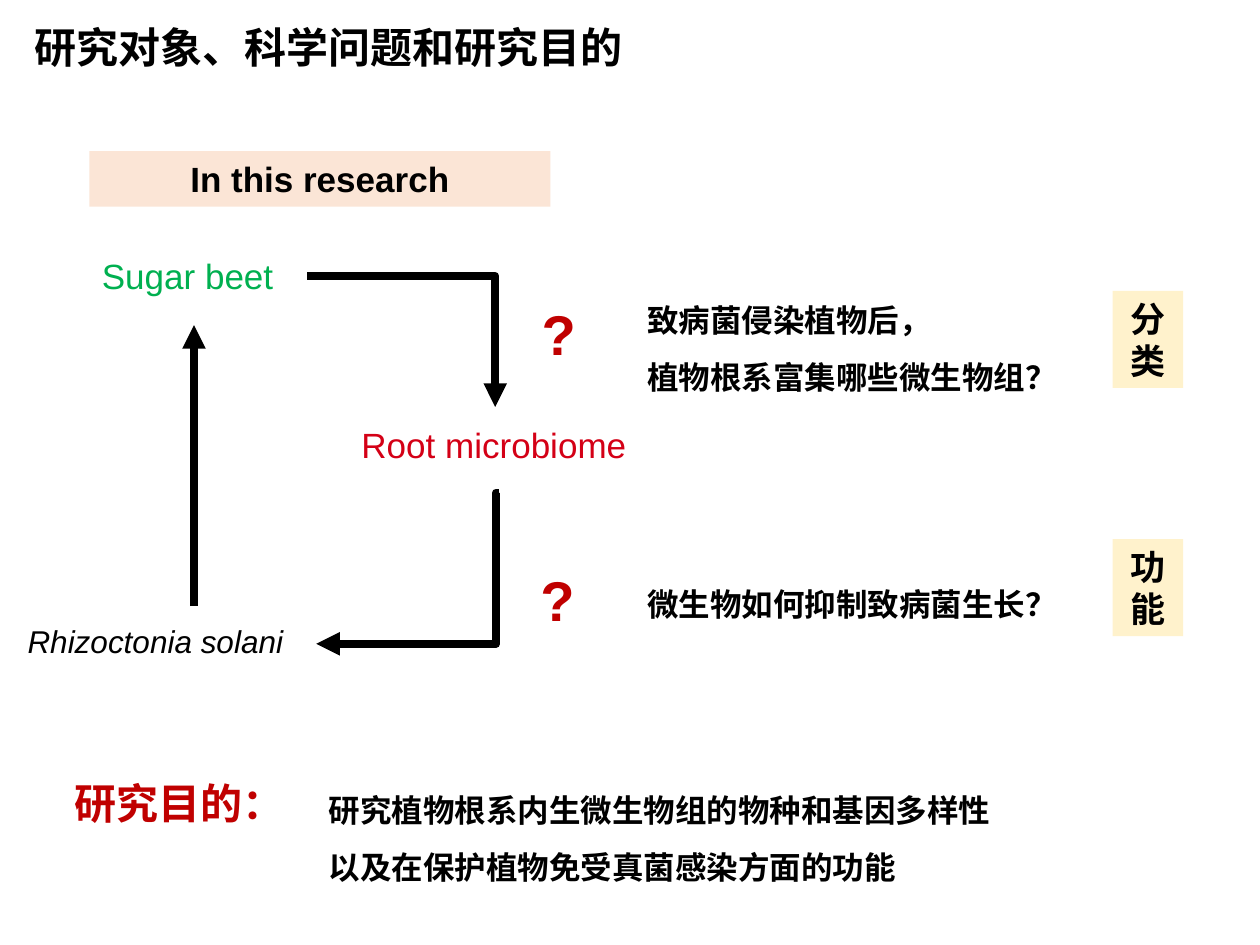
from lxml import etree
from pptx import Presentation, util as u
from pptx.dml.color import RGBColor
from pptx.enum import shapes, text
from pptx.oxml import ns

COLORS = {"black": "000000", "red": "C00000", "crimson": "D40016",
          "green": "00B050", "peach": "FBE5D6", "cream": "FFF2CC"}
LATIN, CJK = "Arial", "Noto Sans CJK SC"


def color(name):
    return RGBColor.from_string(COLORS[name])


def place(part, box):
    for side, length in zip(("left", "top", "width", "height"), box):
        setattr(part, side, u.Inches(length))


def write(part, lines, ink="black", wrap=True, spacing=None,
          align=text.PP_ALIGN.LEFT, anchor=text.MSO_ANCHOR.TOP, **font_values):
    frame = part.text_frame
    frame.word_wrap = wrap
    frame.auto_size = text.MSO_AUTO_SIZE.NONE
    frame.vertical_anchor = anchor
    values = {"name": LATIN, "size": u.Pt(18), "bold": False, **font_values}
    for index, line in enumerate(lines):
        paragraph = frame.add_paragraph() if index else frame.paragraphs[0]
        paragraph.alignment = align
        if spacing:
            paragraph.line_spacing = spacing
        run = paragraph.add_run()
        run.text = line
        for key, value in values.items():
            setattr(run.font, key, value)
        run.font.color.rgb = color(ink)
        east_asian = etree.SubElement(run._r.get_or_add_rPr(), ns.qn("a:ea"))
        east_asian.set("typeface", CJK)


def add_label(slide, box, lines, **values):
    label = slide.shapes.add_textbox(*map(u.Inches, box))
    write(label, lines, **values)


def add_block(slide, box, line, fill):
    block = slide.shapes.add_shape(shapes.MSO_SHAPE.RECTANGLE, *map(u.Inches, box))
    block.shadow.inherit = False
    block.fill.solid()
    block.fill.fore_color.rgb = color(fill)
    block.line.fill.background()
    write(block, [line], size=u.Pt(20), bold=True, align=text.PP_ALIGN.CENTER)


def add_arrow(slide, kind, start, end):
    arrow = slide.shapes.add_connector(kind, *map(u.Inches, start + end))
    arrow.line.width = u.Pt(4.5)
    arrow.line.color.rgb = color("black")
    etree.SubElement(arrow.line._get_or_add_ln(), ns.qn("a:tailEnd")).set("type", "triangle")
    properties = arrow._element.spPr
    etree.SubElement(properties, ns.qn("a:effectLst"))
    return properties.find(ns.qn("a:prstGeom"))


def add_title(slide, box):
    title = slide.shapes.title
    place(title, box)
    write(title, ["研究对象、科学问题和研究目的"], name=CJK, size=u.Pt(24), bold=True)


def add_cycle(slide, box):
    left, top = box[:2]
    add_block(slide, (left + 0.59, top, 3.66, 0.44), "In this research", "peach")
    add_label(slide, (left + 0.59, top + 0.77, 1.65, 0.44), ["Sugar beet"],
              ink="green", size=u.Pt(20))
    add_label(slide, (left + 2.65, top + 2.11, 2.32, 0.44), ["Root microbiome"],
              ink="crimson", size=u.Pt(20), wrap=False)
    add_label(slide, (left, top + 3.69, 2.39, 0.4), ["Rhizoctonia solani"], italic=True)

    straight, elbow = shapes.MSO_CONNECTOR.STRAIGHT, shapes.MSO_CONNECTOR.ELBOW
    add_arrow(slide, straight, (left + 1.42, top + 3.61), (left + 1.42, top + 1.38))
    beet_to_root = add_arrow(slide, elbow, (left + 2.32, top + 0.99), (left + 3.81, top + 2.03))
    beet_to_root.set("prst", "bentConnector2")
    root_to_fungus = add_arrow(slide, elbow, (left + 3.84, top + 2.71), (left + 2.39, top + 3.91))
    adjustments = root_to_fungus.find(ns.qn("a:avLst"))
    if adjustments is None:
        adjustments = etree.SubElement(root_to_fungus, ns.qn("a:avLst"))
    bend = etree.SubElement(adjustments, ns.qn("a:gd"))
    bend.set("name", "adj1")
    bend.set("fmla", "val 1600")


def add_question(slide, box, lines, mark, tag, tag_top):
    left, top, width, height = box
    add_label(slide, (*mark, 0.77, 0.64), ["?"], ink="red", size=u.Pt(32), bold=True)
    add_label(slide, box, lines, name=CJK, bold=True, spacing=1.5, wrap=False)
    add_block(slide, (left + 3.79, tag_top, 0.56, 0.77), tag, "cream")


def add_purpose(slide, box):
    left, top, width, height = box
    add_label(slide, (left, top + 0.04, 2.39, 0.5), ["研究目的："],
              ink="red", size=u.Pt(24), bold=True)
    add_label(slide, (left + 2.02, top, width - 2.02, height),
              ["研究植物根系内生微生物组的物种和基因多样性",
               "以及在保护植物免受真菌感染方面的功能"],
              name=CJK, bold=True, spacing=1.5, wrap=False)


def main():
    deck = Presentation()
    deck.slide_width, deck.slide_height = u.Inches(10), u.Inches(7.5)
    slide = deck.slides.add_slide(deck.slide_layouts[5])
    add_title(slide, (0.17, 0.12, 9.83, 0.5))
    add_cycle(slide, (0.12, 1.2, 4.97, 4.09))
    add_question(slide, (5.04, 2.19, 3.48, 0.94),
                 ["致病菌侵染植物后，", "植物根系富集哪些微生物组？"],
                 (4.2, 2.33), "分类", 2.31)
    add_question(slide, (5.04, 4.44, 3.48, 0.48), ["微生物如何抑制致病菌生长？"],
                 (4.19, 4.44), "功能", 4.28)
    add_purpose(slide, (0.49, 6.08, 7.56, 0.94))
    deck.save("out.pptx")


if __name__ == "__main__":
    main()
